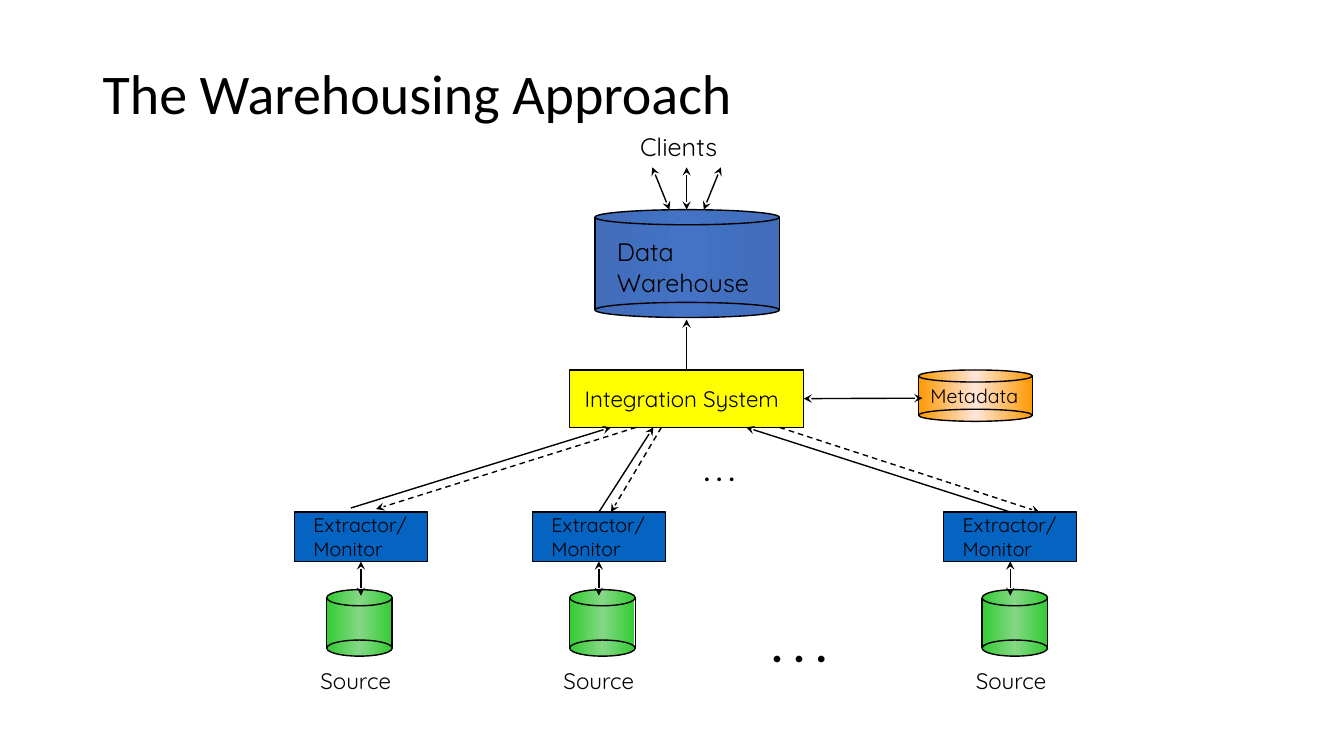
from lxml.etree import SubElement
from copy import deepcopy

from pptx import Presentation
from pptx.dml.color import RGBColor
from pptx.enum.dml import MSO_LINE
from pptx.enum.shapes import MSO_CONNECTOR as CONNECTOR, MSO_SHAPE as SHAPE
from pptx.enum.text import MSO_ANCHOR as ANCHOR, MSO_AUTO_SIZE as AUTO_SIZE
from pptx.oxml.ns import qn
from pptx.util import Inches, Pt

BLACK, WHITE = "000000", "FFFFFF"
WAREHOUSE_BLUE = ("416DBB", "4472C4", "416DBB")
SOURCE_GREEN = ("33CC33", "84D784", "33CC33")
METADATA_ORANGE = ("FF9900", "FFE6DA", "FF9900")
TOP, RIGHT, BOTTOM = 0, 3, 2
BOX_WIDTH, BOX_TOP, BOX_HEIGHT = 1.32, 5.08, 0.49


def color(hex_code):
    """Turn a hex string into a colour."""
    return RGBColor.from_string(hex_code)


def add_label(slide, text, left, top, width, height, size=14, font="Quicksand",
              bold=False, wrap=False, anchor=ANCHOR.TOP, spacing=None):
    """Write text, one paragraph per line, in a text box."""
    label = slide.shapes.add_textbox(*map(Inches, (left, top, width, height)))
    frame = label.text_frame
    frame.word_wrap = wrap
    frame.auto_size = AUTO_SIZE.NONE if wrap else AUTO_SIZE.SHAPE_TO_FIT_TEXT
    frame.vertical_anchor = anchor
    frame.text = text
    for paragraph in frame.paragraphs:
        paragraph.line_spacing = spacing
        paragraph.font.size = Pt(size)
        paragraph.font.name = font
        paragraph.font.bold = bold
        paragraph.font.color.rgb = color(BLACK)


def add_block(slide, kind, left, top, width, height, fill, edge=BLACK):
    """Draw a preset shape with a plain fill or a three-stop gradient."""
    block = slide.shapes.add_shape(kind, *map(Inches, (left, top, width, height)))
    block.shadow.inherit = False
    if isinstance(fill, str):
        block.fill.solid()
        block.fill.fore_color.rgb = color(fill)
    else:
        block.fill.gradient()
        block.fill.gradient_angle = 0
        stops = block.element.spPr.find(qn("a:gradFill")).find(qn("a:gsLst"))
        stops.insert(1, deepcopy(stops[0]))
        for stop, shade, position in zip(block.fill.gradient_stops, fill, (0, 0.5, 1)):
            stop.color.rgb = color(shade)
            stop.position = position
    if edge:
        block.line.color.rgb = color(edge)
        block.line.width = Pt(1)
    else:
        block.line.fill.background()
    return block


def add_line(slide, start, end, heads=(), dashed=False, begin=None):
    """Draw a black line, with arrowheads at the ends named in heads."""
    line = slide.shapes.add_connector(CONNECTOR.STRAIGHT, *map(Inches, (*start, *end)))
    line.line.color.rgb = color(BLACK)
    line.line.width = Pt(1)
    if dashed:
        line.line.dash_style = MSO_LINE.DASH
    properties = line.element.spPr
    for head in heads:
        SubElement(properties.find(qn("a:ln")), qn(f"a:{head}"), type="stealth")
    SubElement(properties, qn("a:effectLst"))
    if begin:
        line.begin_connect(*begin)


def add_cylinder(slide, left, top, width, height, cap, fill, edge=WHITE):
    """Build a data store from a body, two sides and two elliptic caps."""
    side_top, side_bottom = top + cap / 2, top + height - cap / 2
    add_block(slide, SHAPE.RECTANGLE, left, side_top, width, side_bottom - side_top, fill, edge)
    for x in (left, left + width):
        add_line(slide, (x, side_top), (x, side_bottom))
    for y in (top, top + height - cap):
        add_block(slide, SHAPE.OVAL, left, y, width, cap, fill)


def add_source(slide, store_left, box_left):
    """Draw a source with its extractor above it and return the extractor box."""
    add_cylinder(slide, store_left, 5.85, 0.65, 0.66, 0.16, SOURCE_GREEN)
    add_label(slide, "Source", store_left - 0.16, 6.57, 0.98, 0.37, size=16)
    box = add_block(slide, SHAPE.RECTANGLE, box_left, BOX_TOP, BOX_WIDTH, BOX_HEIGHT, "0563C1")
    add_label(slide, "Extractor/\nMonitor", box_left + 0.09, 5.04, 1.15, 0.57)
    center = box_left + BOX_WIDTH / 2
    add_line(slide, (center, BOX_TOP + BOX_HEIGHT), (center, 5.91), ("headEnd", "tailEnd"),
             begin=(box, BOTTOM))
    return box


def add_warehouse(slide):
    """Draw the data warehouse and the clients that use it."""
    add_cylinder(slide, 5.9, 2.08, 1.83, 1.07, 0.15, WAREHOUSE_BLUE, edge=None)
    add_label(slide, "Data\nWarehouse", 6.02, 2.3, 1.58, 0.7, size=18)
    add_label(slide, "Clients", 6.25, 1.25, 1.06, 0.4, size=18)
    for offset in (-1, 0, 1):
        add_line(slide, (6.81 + offset * 0.34, 1.66), (6.81 + offset * 0.17, 2.08),
                 ("headEnd", "tailEnd"))


def add_integration(slide):
    """Draw the integration system with its links to warehouse and metadata."""
    system = add_block(slide, SHAPE.RECTANGLE, 5.65, 3.67, 2.32, 0.57, "FFFF00")
    add_label(slide, "Integration System", 5.7, 3.77, 2.24, 0.37, size=16)
    add_line(slide, (6.81, 3.67), (6.81, 3.17), ("tailEnd",), begin=(system, TOP))
    add_cylinder(slide, 9.11, 3.67, 1.13, 0.51, 0.12, METADATA_ORANGE)
    add_label(slide, "Metadata", 9.13, 3.76, 1.09, 0.34)
    add_line(slide, (7.97, 3.95), (9.15, 3.95), ("headEnd", "tailEnd"), begin=(system, RIGHT))


def main():
    """Build the warehousing slide and save it."""
    deck = Presentation()
    deck.slide_width, deck.slide_height = Inches(13.33), Inches(7.5)
    slide = deck.slides.add_slide(deck.slide_layouts[6])
    add_label(slide, "The Warehousing Approach", 0.92, 0.23, 11.5, 1.45, size=40,
              font="Calibri", wrap=True, anchor=ANCHOR.MIDDLE, spacing=0.9)
    add_warehouse(slide)
    add_integration(slide)

    first, second, last = [add_source(slide, store_left, box_left) for store_left, box_left
                           in ((3.24, 2.92), (5.65, 5.28), (9.74, 9.36))]
    data_flows = (
        ((3.48, 5.04), (6.06, 4.24), None),
        ((5.94, 5.08), (6.48, 4.24), (second, TOP)),
        ((10.02, 5.08), (7.4, 4.24), (last, TOP)),
    )
    for start, end, begin in data_flows:
        add_line(slide, start, end, ("tailEnd",), begin=begin)
    query_flows = (
        ((6.31, 4.24), (3.73, 5.05)),
        ((6.56, 4.24), (6.06, 5.08)),
        ((7.73, 4.24), (10.31, 5.08)),
    )
    for start, end in query_flows:
        add_line(slide, start, end, ("tailEnd",), dashed=True)

    add_label(slide, ". . .", 6.88, 4.48, 0.52, 0.4, size=18, font="Calibri", bold=True)
    add_label(slide, ". . .", 7.55, 6.08, 0.76, 0.64, size=32, font="Calibri", bold=True)
    deck.save("out.pptx")


if __name__ == "__main__":
    main()
